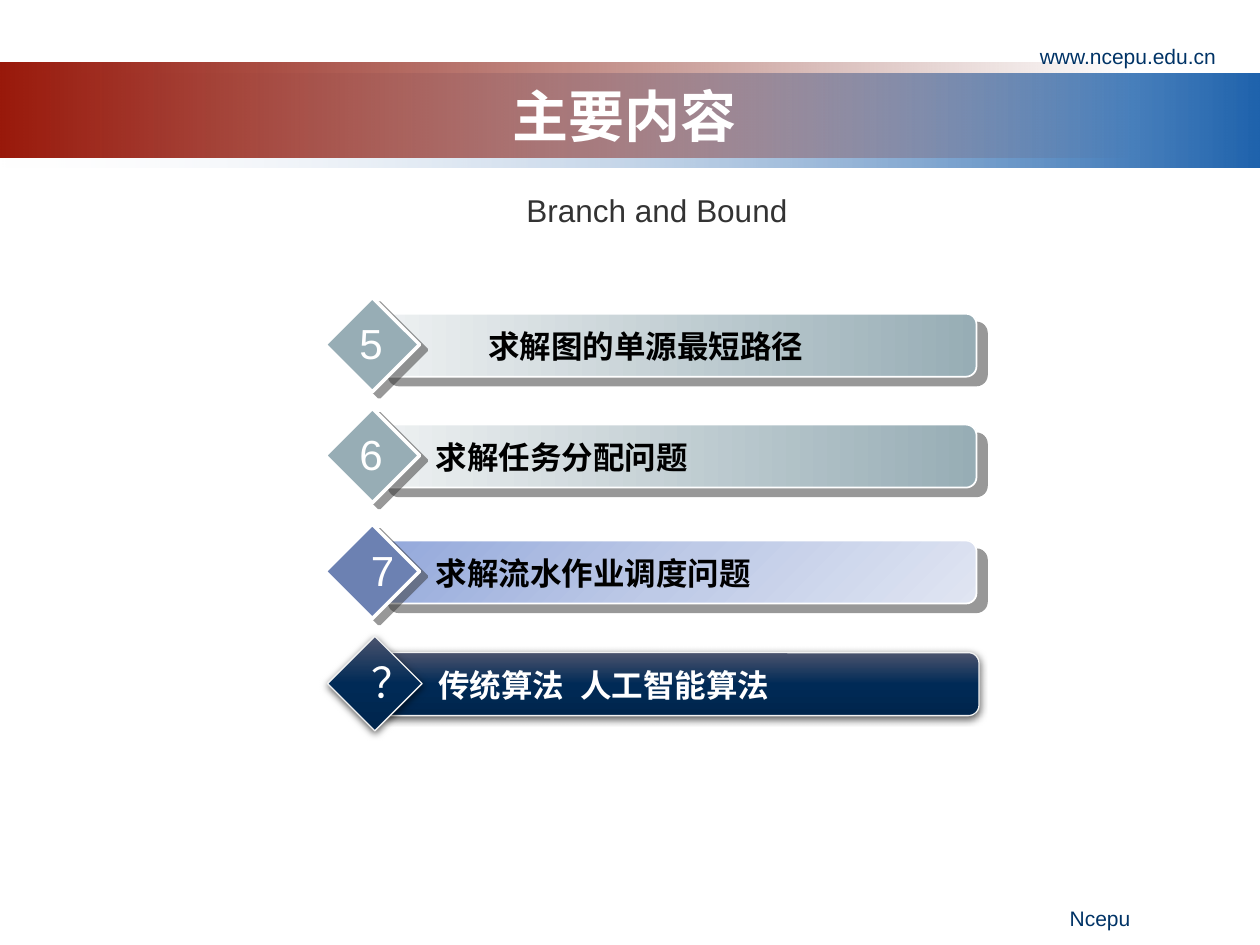
from pptx import Presentation
from pptx.dml.color import RGBColor as RGB
from pptx.enum.shapes import MSO_SHAPE as SHAPE
from pptx.enum.text import MSO_ANCHOR as ANCHOR, PP_ALIGN as ALIGN
from pptx.oxml import parse_xml
from pptx.oxml.ns import nsdecls, qn
from pptx.util import Inches, Pt

THEME = {
    "latin": "Arial", "cjk": "Noto Sans CJK SC",
    "title": 32, "number": 24, "body": 18, "small": 12,
    "white": "FFFFFF", "black": "000000", "navy": "003366", "gray": "333333",
    "blue_band": ([(0, "F1F2F7", 0), (100, "1F63AD", 100)], 0),
    "red_band": ([(0, "99190B", 100), (100, "6D1208", 0)], 0),
    "steel": ([(0, "EEF1F2", 100), (100, "97ADB5", 100)], 0),
    "sky": ([(0, "93A8DB", 100), (50, "BECAE7", 100), (100, "E0E5F2", 100)], 45),
    "deep": ([(0, "4B536D", 100), (50, "002A56", 100), (100, "00254C", 100)], 90),
    "steel_solid": ([(0, "97ADB5", 100), (100, "97ADB5", 100)], 0),
    "sky_solid": "6C81B2", "steel_flat": "97ADB5", "edge": "F2F2F2",
    "bar_shadow": ("333333", 50, 0, 7.8, 40),
    "diamond_shadow": ("333333", 50, 0, 5, 37),
    "soft_shadow": ("000000", 63, 4.5, 1.5, 90),
}
del THEME["steel_solid"]

prs = Presentation()
prs.slide_width, prs.slide_height = Inches(10), Inches(7.5)
COL, ROW = prs.slide_width / 100, prs.slide_height / 75
slide = prs.slides.add_slide(prs.slide_layouts[6])


def add_box(parent, kind, at, fill, line=None, shadow=None):
    x, y, w, h = at
    s = parent.add_shape(kind, int(x * COL), int(y * ROW), int(w * COL), int(h * ROW))
    s.shadow.inherit = False
    pr = s._element.spPr
    if isinstance(fill, str):
        s.fill.solid()
        s.fill.fore_color.rgb = RGB.from_string(fill)
    else:
        stops, angle = fill
        gs = "".join(
            f'<a:gs pos="{pos * 1000}"><a:srgbClr val="{color}">'
            f'<a:alpha val="{alpha * 1000}"/></a:srgbClr></a:gs>'
            for pos, color, alpha in stops)
        pr.find(qn("a:prstGeom")).addnext(parse_xml(
            f'<a:gradFill {nsdecls("a")} rotWithShape="1"><a:gsLst>{gs}</a:gsLst>'
            f'<a:lin ang="{angle * 60000}" scaled="0"/></a:gradFill>'))
    if line:
        s.line.color.rgb = RGB.from_string(line[0])
        s.line.width = Pt(line[1])
    else:
        s.line.fill.background()
    if shadow:
        color, alpha, blur, dist, angle = shadow
        pr.find(qn("a:effectLst")).append(parse_xml(
            f'<a:outerShdw {nsdecls("a")} blurRad="{Pt(blur)}" dist="{Pt(dist)}" '
            f'dir="{angle * 60000}" algn="ctr" rotWithShape="0"><a:srgbClr val="{color}">'
            f'<a:alpha val="{alpha * 1000}"/></a:srgbClr></a:outerShdw>'))
    return s


def add_text(parent, at, text, size, color, align=ALIGN.LEFT, bold=False, wrap=True, tab=None):
    x, y, w, h = at
    s = parent.add_textbox(int(x * COL), int(y * ROW), int(w * COL), int(h * ROW))
    tf = s.text_frame
    tf.word_wrap = wrap
    p = tf.paragraphs[0]
    p.text = text
    p.alignment = align
    if tab:
        p._p.get_or_add_pPr().append(parse_xml(
            f'<a:tabLst {nsdecls("a")}><a:tab pos="{int(tab * COL)}" algn="l"/></a:tabLst>'))
    p.font.size = Pt(THEME[size])
    p.font.bold = bold
    p.font.color.rgb = RGB.from_string(THEME[color])
    p.font.name = THEME["cjk" if bold else "latin"]
    p._p.pPr.find(qn("a:defRPr")).append(parse_xml(
        f'<a:ea {nsdecls("a")} typeface="{THEME["cjk"]}"/>'))
    return s


add_box(slide.shapes, SHAPE.RECTANGLE, (0, 5.8, 100, 7.5), THEME["blue_band"])
add_box(slide.shapes, SHAPE.RECTANGLE, (0, 5, 90, 7.5), THEME["red_band"])
title = add_text(slide.shapes, (9.2, 6, 80.8, 6.2), "主要内容", "title", "white", ALIGN.CENTER, True)
title.text_frame.vertical_anchor = ANCHOR.MIDDLE
add_text(slide.shapes, (74.2, 3, 23.3, 2.7), "www.ncepu.edu.cn", "small", "navy", ALIGN.RIGHT)
add_text(slide.shapes, (59, 71.4, 31.7, 3), "Ncepu", "small", "navy", ALIGN.RIGHT)
add_text(slide.shapes, (40.8, 14.7, 22.9, 4), "Branch and Bound", "body", "gray", wrap=False)

steel, sky, deep = THEME["steel"], THEME["sky"], THEME["deep"]
flat = (THEME["white"], 1), (THEME["white"], 2), THEME["bar_shadow"], THEME["diamond_shadow"]
glossy = (THEME["edge"], 0.75), (THEME["edge"], 0.75), THEME["soft_shadow"], THEME["soft_shadow"]
items = [
    ("5", "求解图的单源最短路径", 30, 24.9, 0, steel, THEME["steel_flat"], flat),
    ("6", "求解任务分配问题", 30, 33.7, 0, steel, THEME["steel_flat"], flat),
    ("7", "求解流水作业调度问题", 30, 42.9, 0.9, sky, THEME["sky_solid"], flat),
    ("？", "传统算法\t人工智能算法", 30.2, 51.8, 0.8, deep, deep, glossy),
]
for number, label, x, y, shift, bar_fill, diamond_fill, style in items:
    bar_line, diamond_line, bar_shadow, diamond_shadow = style
    group = slide.shapes.add_group_shape().shapes
    add_box(group, SHAPE.ROUNDED_RECTANGLE, (x, y, 47.5, 5), bar_fill, bar_line, bar_shadow)
    add_box(group, SHAPE.DIAMOND, (x - 4.2, y - 1.3, 7.5, 7.5), diamond_fill, diamond_line, diamond_shadow)
    centered = number == "5"
    s = add_text(group, (x + 2.5, y + 0.6, 37.5, 4), label, "body",
                 "white" if style is glossy else "black",
                 ALIGN.CENTER if centered else ALIGN.LEFT, True,
                 tab=11.25 if "\t" in label else None)
    if not centered:
        s.text_frame.margin_left = int(2.1 * COL)
    add_text(group, (x - 2.5 + shift, y - 0.2, 3.9, 5), number, "number", "white",
             ALIGN.CENTER, wrap=False)

prs.save("out.pptx")
